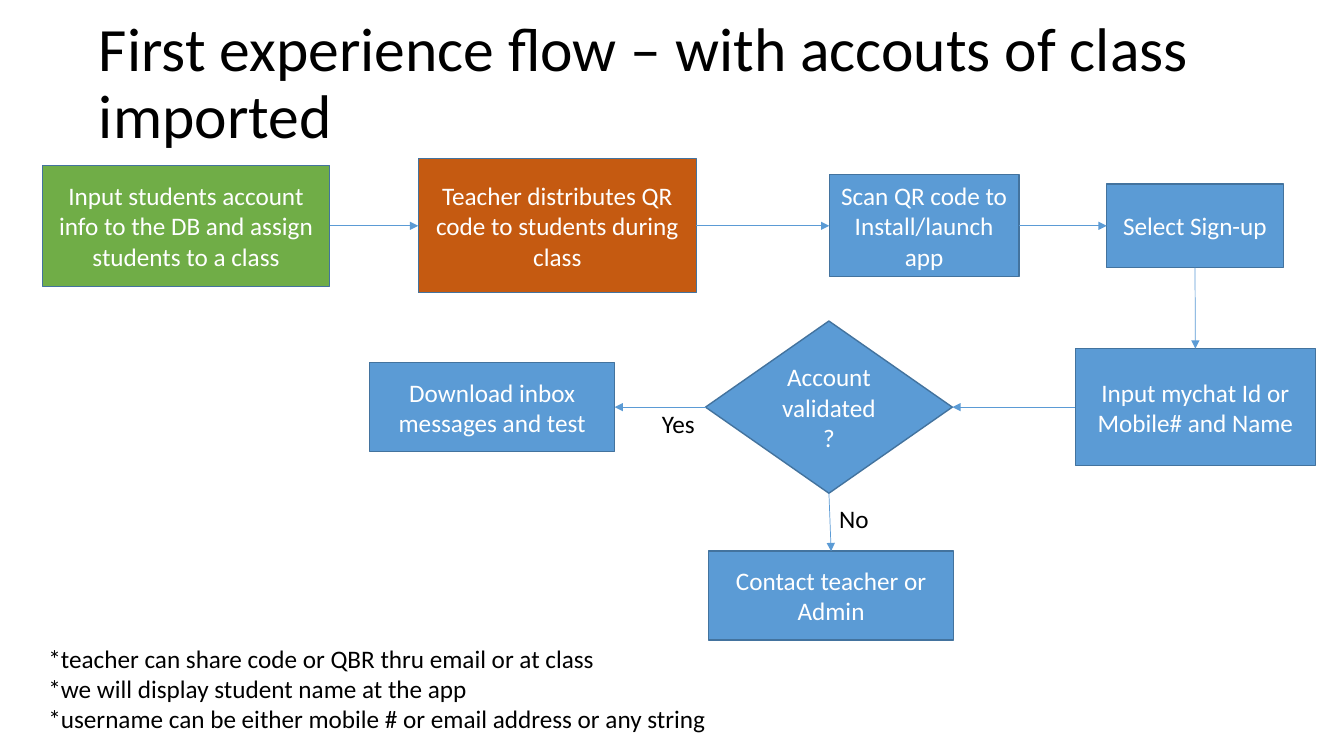
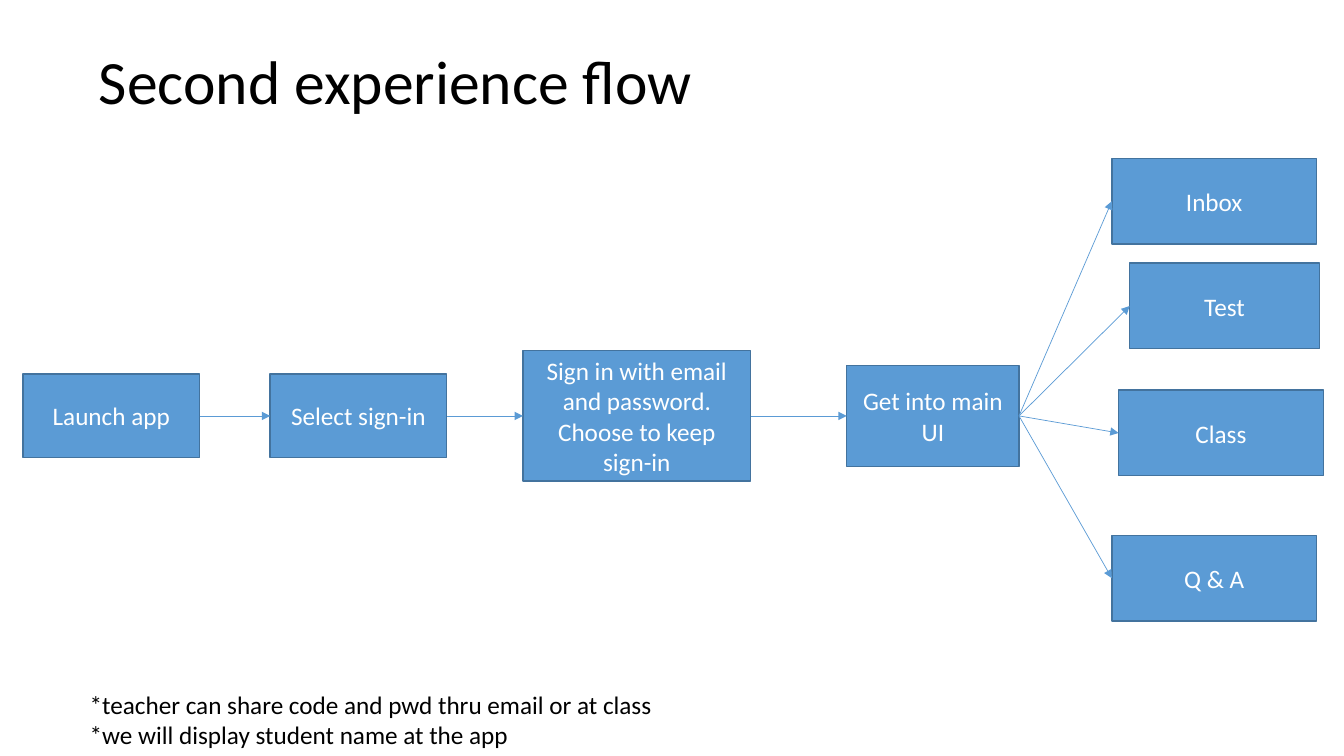
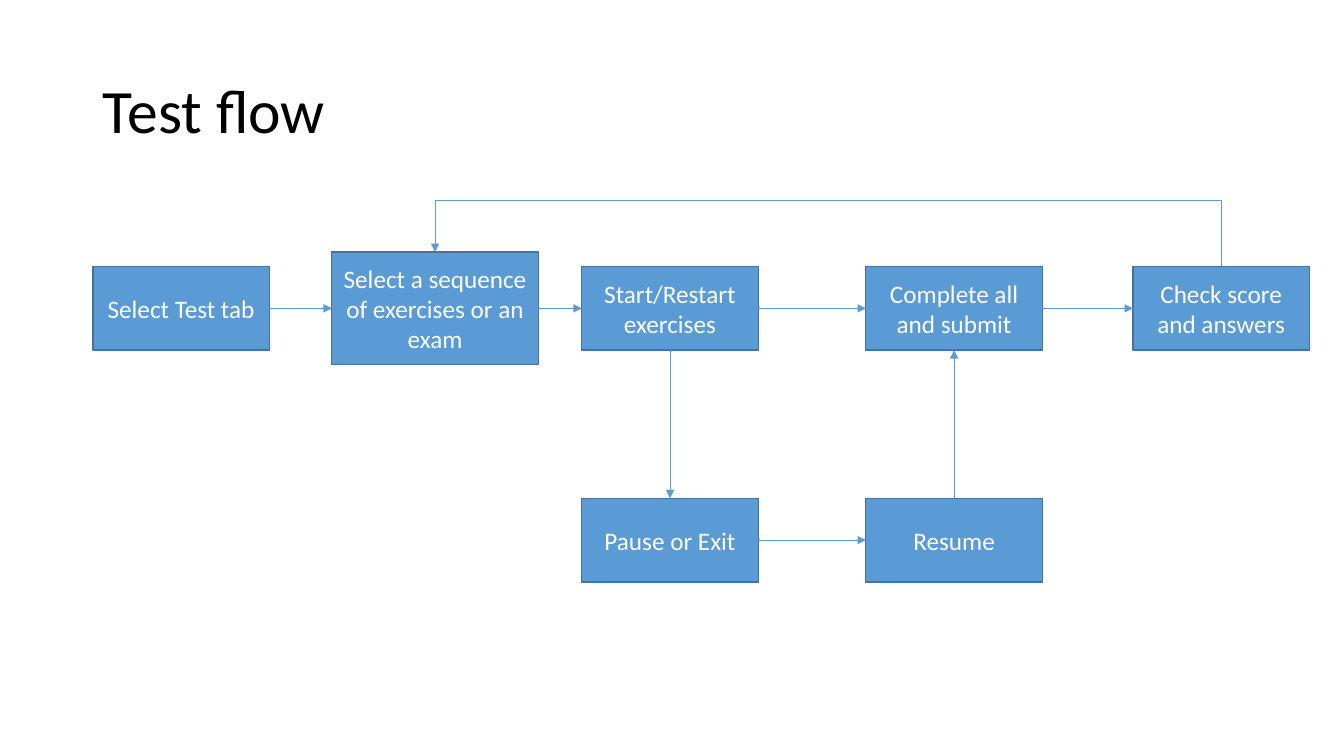
from itertools import pairwise

from lxml import etree
from pptx import Presentation
from pptx.dml.color import RGBColor
from pptx.enum import shapes, text
from pptx.oxml import ns
from pptx.util import Cm, Pt

COLORS = {
    "blue": "5B9BD5",
    "orange": "C55A11",
    "green": "70AD47",
    "outline": "43739E",
    "white": "FFFFFF",
    "black": "000000",
}
FONT = "Calibri"
TOP, LEFT, BOTTOM, RIGHT = range(4)
STEP_W, STEP_H = 4.45, 2.11


def rgb(name):
    return RGBColor.from_string(COLORS[name])


def style_text(tf, size, color, align=text.PP_ALIGN.LEFT):
    for p in tf.paragraphs:
        p.alignment = align
        for r in p.runs:
            r.font.name = FONT
            r.font.size = Pt(size)
            r.font.color.rgb = rgb(color)


# Shared parts
def add_slide(prs, title, left=2.24, top=0.3):
    sl = prs.slides.add_slide(prs.slide_layouts[5])
    sp = sl.shapes.title
    sp.left, sp.top, sp.width, sp.height = Cm(left), Cm(top), Cm(29.21), Cm(3.68)
    tf = sp.text_frame
    tf.text = title
    tf.word_wrap = True
    tf.auto_size = text.MSO_AUTO_SIZE.NONE
    tf.vertical_anchor = text.MSO_ANCHOR.MIDDLE
    tf.paragraphs[0].line_spacing = 0.9
    style_text(tf, 44, "black")
    return sl


def add_step(sl, left, mid, label, w=STEP_W, h=STEP_H, fill="blue", kind="RECTANGLE"):
    """Flow step whose vertical centre is at mid."""
    sp = sl.shapes.add_shape(shapes.MSO_SHAPE[kind], Cm(left), Cm(mid - h / 2), Cm(w), Cm(h))
    sp.shadow.inherit = False
    sp.fill.solid()
    sp.fill.fore_color.rgb = rgb(fill)
    sp.line.color.rgb = rgb("outline")
    sp.line.width = Pt(1)
    tf = sp.text_frame
    tf.text = label
    tf.word_wrap = True
    tf.vertical_anchor = text.MSO_ANCHOR.MIDDLE
    style_text(tf, 18, "white", text.PP_ALIGN.CENTER)
    return sp


def add_row(sl, left, mid, steps):
    """Row of steps on one centre line; each step is (gap before it, label, options)."""
    row = []
    for gap, label, options in steps:
        left += gap
        row.append(add_step(sl, left, mid, label, **options))
        left += options.get("w", STEP_W)
    return row


def add_arrow(sl, a, a_side, b, b_side, kind="STRAIGHT"):
    cn = sl.shapes.add_connector(shapes.MSO_CONNECTOR[kind], 0, 0, 0, 0)
    cn.begin_connect(a, a_side)
    cn.end_connect(b, b_side)
    cn.line.color.rgb = rgb("blue")
    cn.line.width = Pt(0.5)
    ln = cn.line._get_or_add_ln()
    etree.SubElement(ln, ns.qn("a:tailEnd"), type="triangle")
    etree.SubElement(cn._element.spPr, ns.qn("a:effectLst"))
    return cn


def chain(sl, row):
    for a, b in pairwise(row):
        add_arrow(sl, a, RIGHT, b, LEFT)


def add_return_loop(sl, a, b, peak):
    """Elbow arrow from the top of a over the height peak to the top of b on its left."""
    cn = add_arrow(sl, a, TOP, b, TOP, "ELBOW")
    rise, span = a.top - b.top, cn.begin_x - cn.end_x
    mid_x, mid_y = (cn.begin_x + cn.end_x) // 2, (a.top + b.top) // 2
    # The elbow is laid out upright, then turned by 270 degrees
    cn.left, cn.top = mid_x - rise // 2, mid_y - span // 2
    cn.width, cn.height = rise, span
    xfrm = cn._element.spPr.find(ns.qn("a:xfrm"))
    for name, value in (("rot", "16200000"), ("flipH", "0"), ("flipV", "1")):
        xfrm.set(name, value)
    guides = cn._element.spPr.find(ns.qn("a:prstGeom")).find(ns.qn("a:avLst"))
    bend = round((a.top - Cm(peak)) / rise * 100000)
    etree.SubElement(guides, ns.qn("a:gd"), name="adj1", fmla=f"val {bend}")


def add_note(sl, left, top, w, h, lines):
    tf = sl.shapes.add_textbox(Cm(left), Cm(top), Cm(w), Cm(h)).text_frame
    tf.text = "\n".join(lines)
    tf.word_wrap = False
    tf.auto_size = text.MSO_AUTO_SIZE.SHAPE_TO_FIT_TEXT
    style_text(tf, 18, "black")


# Slides
def first_experience(prs):
    sl = add_slide(prs, "First experience flow – with accouts of class imported")
    row = add_row(sl, 1.07, 5.69, [
        (0, "Input students account info to the DB and assign students to a class",
         dict(w=7.24, h=3.05, fill="green")),
        (2.23, "Teacher distributes QR code to students during class",
         dict(w=7.01, h=3.38, fill="orange")),
        (3.35, "Scan QR code to Install/launch app", dict(w=4.78, h=2.57)),
        (2.21, "Select Sign-up", {}),
    ])
    download, check, identify = add_row(sl, 9.32, 10.26, [
        (0, "Download inbox messages and test", dict(w=6.17, h=2.24)),
        (2.29, "Account validated?", dict(w=6.22, h=4.34, kind="DIAMOND")),
        (3.1, "Input mychat Id or Mobile# and Name", dict(w=6.05, h=2.95)),
    ])
    contact = add_step(sl, 17.86, 15.01, "Contact teacher or Admin", w=6.17, h=2.24)

    chain(sl, row)
    add_arrow(sl, row[-1], BOTTOM, identify, TOP)
    add_arrow(sl, identify, LEFT, check, RIGHT)
    add_arrow(sl, check, LEFT, download, RIGHT)
    add_arrow(sl, check, BOTTOM, contact, TOP)

    add_note(sl, 16.43, 10.16, 1.35, 1.02, ["Yes"])
    add_note(sl, 20.9, 12.57, 1.27, 1.02, ["No"])
    add_note(sl, 0.97, 16.08, 17.27, 2.57, [
        "*teacher can share code or QBR thru email or at class",
        "*we will display student name at the app",
        "*username can be either mobile # or email address or any string",
    ])


def second_experience(prs):
    sl = add_slide(prs, "Second experience flow")
    row = add_row(sl, 0.58, 10.48, [
        (0, "Launch app", {}),
        (1.78, "Select sign-in", {}),
        (1.92, "Sign in with email and password. Choose to keep sign-in",
         dict(w=5.74, h=3.28)),
        (2.42, "Get into main UI", dict(w=4.34, h=2.54)),
    ])
    chain(sl, row)

    # Areas of the main UI
    for left, mid, w, label in [
        (28.02, 5.07, 5.16, "Inbox"),
        (28.47, 7.71, 4.78, "Test"),
        (28.19, 10.91, 5.16, "Class"),
        (28.02, 14.57, 5.16, "Q & A"),
    ]:
        area = add_step(sl, left, mid, label, w=w, h=2.16)
        add_arrow(sl, row[-1], RIGHT, area, LEFT)

    add_note(sl, 2.01, 17.25, 14.86, 1.8, [
        "*teacher can share code and pwd thru email or at class",
        "*we will display student name at the app",
    ])


def test_flow(prs):
    sl = add_slide(prs, "Test flow", 2.34, 1.02)
    row = add_row(sl, 2.34, 7.77, [
        (0, "Select Test tab", {}),
        (1.57, "Select a sequence of exercises or an exam", dict(w=5.21, h=2.84)),
        (1.09, "Start/Restart exercises", {}),
        (2.71, "Complete all and submit", {}),
        (2.28, "Check score and answers", {}),
    ])
    pause, resume = break_row = add_row(sl, 14.66, 13.61, [
        (0, "Pause or Exit", {}),
        (2.71, "Resume", {}),
    ])
    _, select, start, complete, score = row

    chain(sl, row)
    chain(sl, break_row)
    add_arrow(sl, start, BOTTOM, pause, TOP)
    add_arrow(sl, resume, TOP, complete, BOTTOM)
    add_return_loop(sl, score, select, 5.06)


def main():
    prs = Presentation()
    prs.slide_width, prs.slide_height = Cm(33.87), Cm(19.05)
    for build in (first_experience, second_experience, test_flow):
        build(prs)
    prs.save("out.pptx")


if __name__ == "__main__":
    main()
